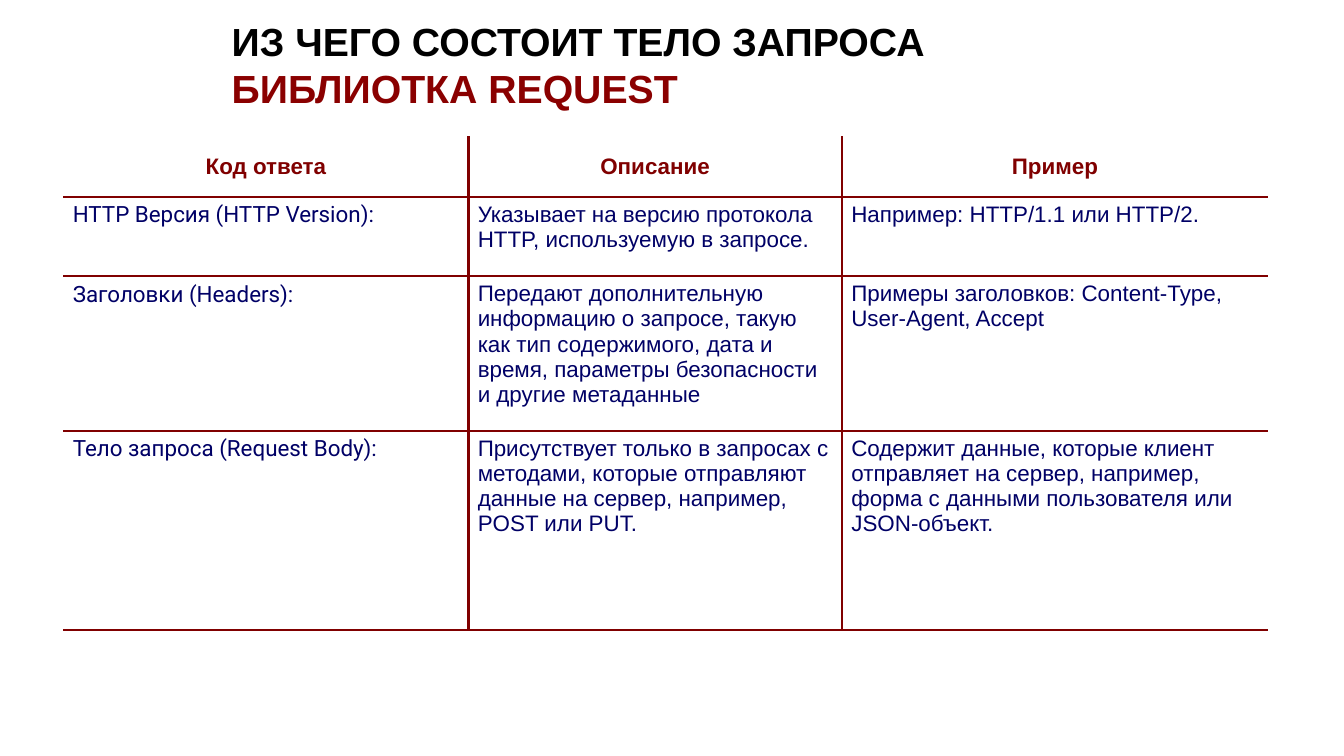
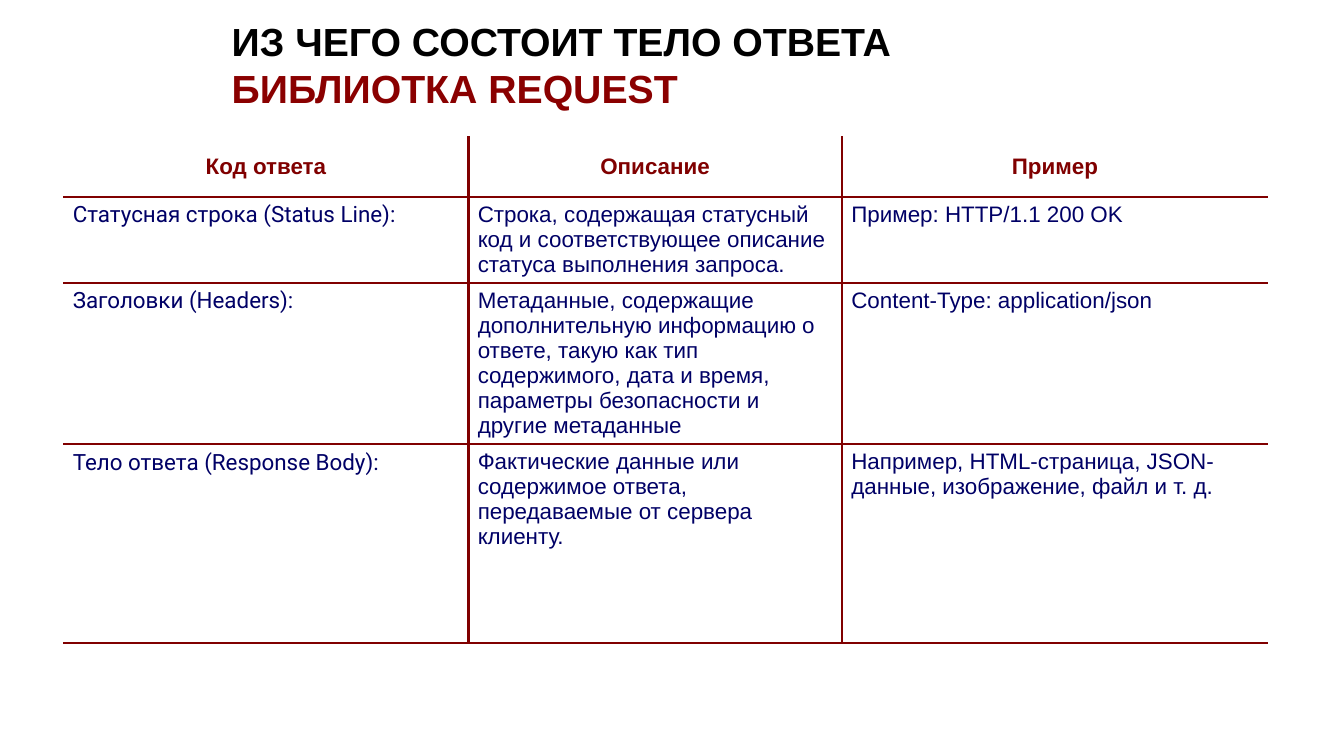
from dataclasses import dataclass

from lxml.etree import SubElement
from pptx import Presentation
from pptx.dml.color import RGBColor
from pptx.enum.text import MSO_ANCHOR, MSO_AUTO_SIZE, PP_ALIGN
from pptx.oxml.ns import qn
from pptx.util import Inches, Pt


@dataclass(frozen=True)
class Theme:
    ink: str = "000000"
    accent: str = "8A0000"
    rule: str = "800000"
    body: str = "000066"
    font: str = "Arial"
    label: str = "Roboto"
    title: float = 21
    text: float = 12
    line: float = 1.5


# Shares of the slide, in percent
TITLE = (16.24, 2.67, 71, 11.74)
TABLE = (4.72, 18)
COLS = (30.13, 27.8, 31.7)
ROWS = (8.03, 10.5, 20.46, 26.33)

SUBJECT = "БИБЛИОТКА REQUEST"
HEADS = ("Код ответа", "Описание", "Пример")
SLIDES = {
    "ИЗ ЧЕГО СОСТОИТ ТЕЛО ЗАПРОСА": (
        ("HTTP Версия (HTTP Version):",
         "Указывает на версию протокола HTTP, используемую в запросе.",
         "Например: HTTP/1.1 или HTTP/2."),
        ("Заголовки (Headers):",
         "Передают дополнительную информацию о запросе, такую как тип "
         "содержимого, дата и время, параметры безопасности и другие метаданные",
         "Примеры заголовков: Content-Type, User-Agent, Accept"),
        ("Тело запроса (Request Body):",
         "Присутствует только в запросах с методами, которые отправляют "
         "данные на сервер, например, POST или PUT.",
         "Содержит данные, которые клиент отправляет на сервер, например, "
         "форма с данными пользователя или JSON-объект."),
    ),
    "ИЗ ЧЕГО СОСТОИТ ТЕЛО ОТВЕТА": (
        ("Статусная строка (Status Line):",
         "Строка, содержащая статусный код и соответствующее описание "
         "статуса выполнения запроса.",
         "Пример: HTTP/1.1 200 OK"),
        ("Заголовки (Headers):",
         "Метаданные, содержащие дополнительную информацию о ответе, такую "
         "как тип содержимого, дата и время, параметры безопасности и "
         "другие метаданные",
         "Content-Type: application/json"),
        ("Тело ответа (Response Body):",
         "Фактические данные или содержимое ответа, передаваемые от сервера "
         "клиенту.",
         "Например, HTML-страница, JSON-данные, изображение, файл и т. д."),
    ),
}


class Deck:
    def __init__(self, theme):
        self.theme = theme
        self.prs = Presentation()
        self.prs.slide_width = Inches(10)
        self.prs.slide_height = self.prs.slide_width * 9 // 16
        self.slide = None

    def wide(self, share):
        return round(self.prs.slide_width * share / 100)

    def high(self, share):
        return round(self.prs.slide_height * share / 100)

    def add(self):
        self.slide = self.prs.slides.add_slide(self.prs.slide_layouts[5])

    def style(self, run, size, color, bold=False, font=None):
        run.font.name = font or self.theme.font
        run.font.size = Pt(size)
        run.font.bold = bold
        run.font.color.rgb = RGBColor.from_string(color)

    def title(self, head, sub):
        look = self.theme
        box = self.slide.shapes.title
        left, top, width, height = TITLE
        box.left, box.top = self.wide(left), self.high(top)
        box.width, box.height = self.wide(width), self.high(height)
        frame = box.text_frame
        frame.text = f"{head}\v{sub}"
        frame.auto_size = MSO_AUTO_SIZE.NONE
        frame.vertical_anchor = MSO_ANCHOR.MIDDLE
        para = frame.paragraphs[0]
        para.alignment = PP_ALIGN.LEFT
        for run, color in zip(para.runs, (look.ink, look.accent)):
            self.style(run, look.title, color, bold=True)
        # The line break needs the title's size too
        for gap in para._p.findall(qn("a:br")):
            SubElement(gap, qn("a:rPr"), sz=str(round(look.title * 100)))

    def edge(self, cell, sides):
        """Draw ruled lines on the sides named, and none on the others."""
        props = cell._tc.get_or_add_tcPr()
        for side in "LRTB":
            width = Pt(self.theme.line) if side in sides else 0
            line = SubElement(props, qn(f"a:ln{side}"), w=str(width))
            if side in sides:
                fill = SubElement(line, qn("a:solidFill"))
                SubElement(fill, qn("a:srgbClr"), val=self.theme.rule)
            else:
                SubElement(line, qn("a:noFill"))

    def cell(self, cell, text, row, col):
        look = self.theme
        head = row == 0
        cell.text = text
        cell.margin_left = cell.margin_right = Inches(0.07)
        cell.margin_top = cell.margin_bottom = Inches(0.04)
        cell.vertical_anchor = MSO_ANCHOR.MIDDLE if head else MSO_ANCHOR.TOP
        para = cell.text_frame.paragraphs[0]
        para.alignment = PP_ALIGN.CENTER if head else PP_ALIGN.LEFT
        font = look.label if col == 0 and not head else look.font
        color = look.rule if head else look.body
        self.style(para.runs[0], look.text, color, head, font)
        sides = "B"
        sides += "" if head else "T"
        sides += "L" if col > 0 else ""
        sides += "R" if col < len(COLS) - 1 else ""
        self.edge(cell, sides)
        cell.fill.background()

    def table(self, rows):
        left, top = TABLE
        table = self.slide.shapes.add_table(
            len(ROWS), len(COLS), self.wide(left), self.high(top),
            self.wide(sum(COLS)), self.high(sum(ROWS))).table
        table.first_row = table.horz_banding = False
        for col, share in zip(table.columns, COLS):
            col.width = self.wide(share)
        for row, share in zip(table.rows, ROWS):
            row.height = self.high(share)
        for r, texts in enumerate(rows):
            for c, text in enumerate(texts):
                self.cell(table.cell(r, c), text, r, c)


def main():
    deck = Deck(Theme())
    for head, rows in SLIDES.items():
        deck.add()
        deck.title(head, SUBJECT)
        deck.table((HEADS, *rows))
    deck.prs.save("out.pptx")


if __name__ == "__main__":
    main()
